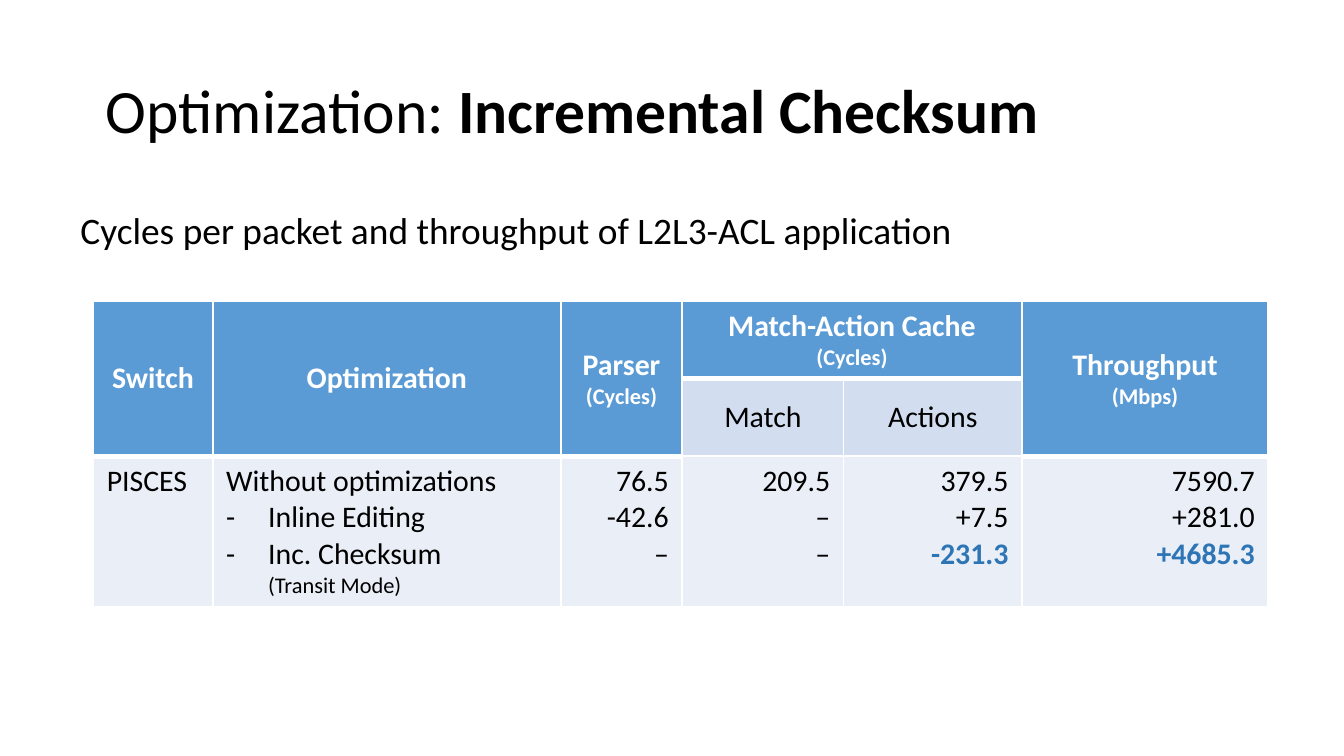
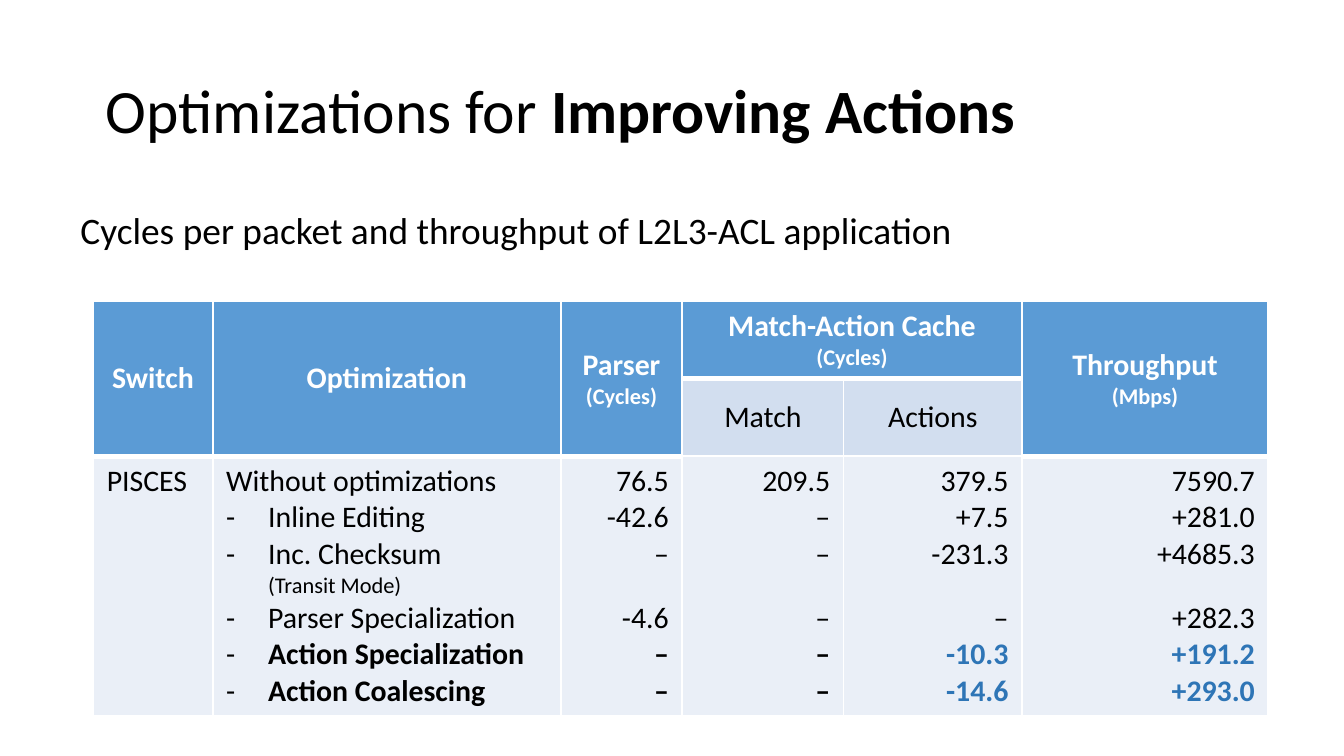
"""Build two slides of switch optimization results."""
from dataclasses import dataclass

from lxml import etree
from pptx import Presentation
from pptx.dml.color import RGBColor
from pptx.enum import text as t
from pptx.oxml.ns import qn
from pptx.util import Pt

FONT = "Calibri"
BLACK = RGBColor(0x00, 0x00, 0x00)
WHITE = RGBColor(0xFF, 0xFF, 0xFF)
HEADER_BLUE = RGBColor(0x5B, 0x9B, 0xD5)
SUBHEADER_BLUE = RGBColor(0xD2, 0xDE, 0xEF)
BODY_BLUE = RGBColor(0xEA, 0xEF, 0xF7)
ACCENT_BLUE = RGBColor(0x2E, 0x75, 0xB6)

LABEL_SIZE, NOTE_SIZE = 16, 12
NOTE_LINE = Pt(14.6)
BULLET_INDENT = Pt(22.5)
THIN, THICK = Pt(1), Pt(3)
HEADER_HEIGHT, BODY_LINE, BODY_EXTRA = 41, 19.5, 21.8
COLUMN_WIDTHS = (64, 186.5, 65, 86.5, 95.5, 132)
CAPTION = "Cycles per packet and throughput of L2L3-ACL application"
DASH = "–"


@dataclass(frozen=True)
class Heading:
    """A header cell with its place and span in the table."""
    row: int
    column: int
    label: str
    unit: str = ""
    rows: int = 1
    columns: int = 1


@dataclass(frozen=True)
class Result:
    """One optimization with its parser, match, actions and throughput values."""
    label: str
    values: tuple[str, str, str, str]
    note: str = ""
    bold: bool = False
    accent: bool = False


@dataclass(frozen=True)
class ResultSlide:
    """The two parts of a title and the results beneath it."""
    plain_title: str
    bold_title: str
    results: tuple[Result, ...]


HEADINGS = (
    Heading(0, 0, "Switch", rows=2),
    Heading(0, 1, "Optimization", rows=2),
    Heading(0, 2, "Parser", "(Cycles)", rows=2),
    Heading(0, 3, "Match-Action Cache", "(Cycles)", columns=2),
    Heading(0, 5, "Throughput", "(Mbps)", rows=2),
    Heading(1, 3, "Match"),
    Heading(1, 4, "Actions"),
)


def checksum(accent: bool) -> Result:
    """Return the incremental checksum result."""
    return Result("Inc. Checksum", (DASH, DASH, "-231.3", "+4685.3"), "(Transit Mode)", accent=accent)


BASE_RESULTS = (
    Result("Without optimizations", ("76.5", "209.5", "379.5", "7590.7")),
    Result("Inline Editing", ("-42.6", DASH, "+7.5", "+281.0")),
)
SLIDES = (
    ResultSlide("Optimization: ", "Incremental Checksum", (*BASE_RESULTS, checksum(True))),
    ResultSlide("Optimizations for ", "Improving Actions", (
        *BASE_RESULTS,
        checksum(False),
        Result("Parser Specialization", ("-4.6", DASH, DASH, "+282.3")),
        Result("Action Specialization", (DASH, DASH, "-10.3", "+191.2"), bold=True, accent=True),
        Result("Action Coalescing", (DASH, DASH, "-14.6", "+293.0"), bold=True, accent=True),
    )),
)


def format_span(span, size: float, color: RGBColor = BLACK, bold: bool = False) -> None:
    """Set the font of one run."""
    span.font.name, span.font.size, span.font.bold = FONT, Pt(size), bold
    span.font.color.rgb = color


def add_para(frame, index: int, label: str):
    """Write a line into the frame, using its first paragraph for index 0."""
    para = frame.add_paragraph() if index else frame.paragraphs[0]
    para.text = label
    return para


def add_bullet(para) -> None:
    """Give the paragraph a hanging dash."""
    properties = para._p.get_or_add_pPr()
    properties.set("marL", str(BULLET_INDENT))
    properties.set("indent", str(-BULLET_INDENT))
    etree.SubElement(properties, qn("a:buFont"), typeface=FONT)
    etree.SubElement(properties, qn("a:buChar"), char="-")


def style_cell(cell, fill: RGBColor, top: int, bottom: int) -> None:
    """Draw the white borders of a cell and fill it."""
    properties = cell._tc.get_or_add_tcPr()
    for side, width in (("L", THIN), ("R", THIN), ("T", top), ("B", bottom)):
        line = etree.SubElement(properties, qn(f"a:ln{side}"), w=str(width))
        solid = etree.SubElement(line, qn("a:solidFill"))
        etree.SubElement(solid, qn("a:srgbClr"), val=str(WHITE))
    cell.fill.solid()
    cell.fill.fore_color.rgb = fill


def style_grid(table) -> None:
    """Style every cell by its row and by whether it belongs to the header."""
    for column in range(len(COLUMN_WIDTHS)):
        split = column in (3, 4)
        style_cell(table.cell(0, column), HEADER_BLUE, THIN, THICK)
        style_cell(table.cell(1, column), SUBHEADER_BLUE if split else HEADER_BLUE,
                   THICK, THIN if split else THICK)
        style_cell(table.cell(2, column), BODY_BLUE, THIN if split else THICK, THIN)


def fill_heading(table, heading: Heading) -> None:
    """Merge and write one header cell."""
    cell = table.cell(heading.row, heading.column)
    if heading.rows * heading.columns > 1:
        cell.merge(table.cell(heading.row + heading.rows - 1, heading.column + heading.columns - 1))
    cell.vertical_anchor = t.MSO_ANCHOR.MIDDLE
    main = heading.row == 0
    for index, label in enumerate(filter(None, (heading.label, heading.unit))):
        para = add_para(cell.text_frame, index, label)
        para.alignment = t.PP_ALIGN.CENTER
        format_span(para.runs[0], NOTE_SIZE if index else LABEL_SIZE, WHITE if main else BLACK, main)


def fill_labels(frame, results: tuple[Result, ...]) -> None:
    """List the optimizations, each after the first with a dash."""
    for index, result in enumerate(results):
        label = f"{result.label}\v{result.note}" if result.note else result.label
        para = add_para(frame, index, label)
        if index:
            add_bullet(para)
        for span, size in zip(para.runs, (LABEL_SIZE, NOTE_SIZE)):
            format_span(span, size, bold=result.bold)
        for line_break in para._p.findall(qn("a:br")):
            etree.SubElement(line_break, qn("a:rPr"), sz=str(LABEL_SIZE * 100))


def fill_values(frame, results: tuple[Result, ...], number: int) -> None:
    """List one column of values, leaving room beside each note."""
    for index, result in enumerate(results):
        value = result.values[number]
        para = add_para(frame, index, value)
        para.alignment = t.PP_ALIGN.RIGHT
        if index and results[index - 1].note:
            para.space_before = NOTE_LINE
        accent = result.accent and value != DASH
        format_span(para.runs[0], LABEL_SIZE, ACCENT_BLUE if accent else BLACK, accent or result.bold)


def add_results(page, results: tuple[Result, ...]) -> None:
    """Add the table of results."""
    heights = (HEADER_HEIGHT, HEADER_HEIGHT, BODY_LINE * len(results) + BODY_EXTRA)
    table = page.shapes.add_table(len(heights), len(COLUMN_WIDTHS), Pt(50), Pt(161.5),
                                  Pt(sum(COLUMN_WIDTHS)), Pt(sum(heights))).table
    table.first_row = table.horz_banding = False
    for column, width in zip(table.columns, COLUMN_WIDTHS):
        column.width = Pt(width)
    for row, height in zip(table.rows, heights):
        row.height = Pt(height)
    style_grid(table)
    for heading in HEADINGS:
        fill_heading(table, heading)
    format_span(add_para(table.cell(2, 0).text_frame, 0, "PISCES").runs[0], LABEL_SIZE)
    fill_labels(table.cell(2, 1).text_frame, results)
    for number in range(4):
        fill_values(table.cell(2, number + 2).text_frame, results, number)


def add_title(page, plain: str, bold: str) -> None:
    """Place the title and set its second part in bold."""
    title = page.shapes.title
    title.left, title.top, title.width, title.height = Pt(49.5), Pt(21.5), Pt(621), Pt(78.5)
    frame = title.text_frame
    frame.auto_size, frame.vertical_anchor = t.MSO_AUTO_SIZE.NONE, t.MSO_ANCHOR.MIDDLE
    para = frame.paragraphs[0]
    para.alignment, para.line_spacing = t.PP_ALIGN.LEFT, 0.9
    for label, is_bold in ((plain, False), (bold, True)):
        span = para.add_run()
        span.text = label
        format_span(span, 33, bold=is_bold)


def add_caption(page) -> None:
    """Add the line above the table."""
    box = page.shapes.add_textbox(Pt(36), Pt(107.5), Pt(585), Pt(31.5))
    frame = box.text_frame
    frame.word_wrap, frame.auto_size = True, t.MSO_AUTO_SIZE.SHAPE_TO_FIT_TEXT
    format_span(add_para(frame, 0, CAPTION).runs[0], 20)


def main() -> None:
    """Build and save the deck."""
    deck = Presentation()
    deck.slide_width, deck.slide_height = Pt(720), Pt(405)
    for content in SLIDES:
        page = deck.slides.add_slide(deck.slide_layouts[5])
        add_title(page, content.plain_title, content.bold_title)
        add_results(page, content.results)
        add_caption(page)
    deck.save("out.pptx")


if __name__ == "__main__":
    main()
